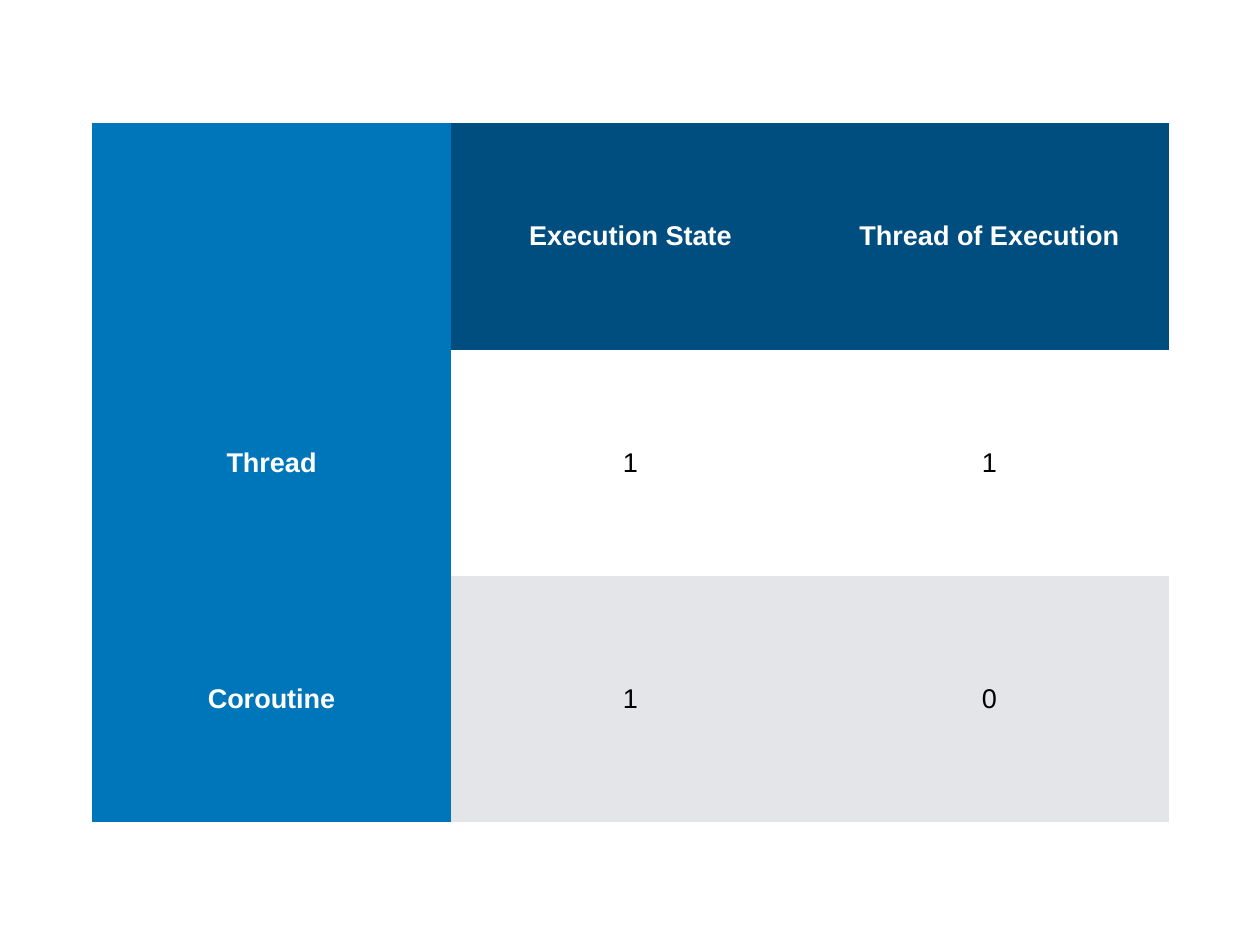
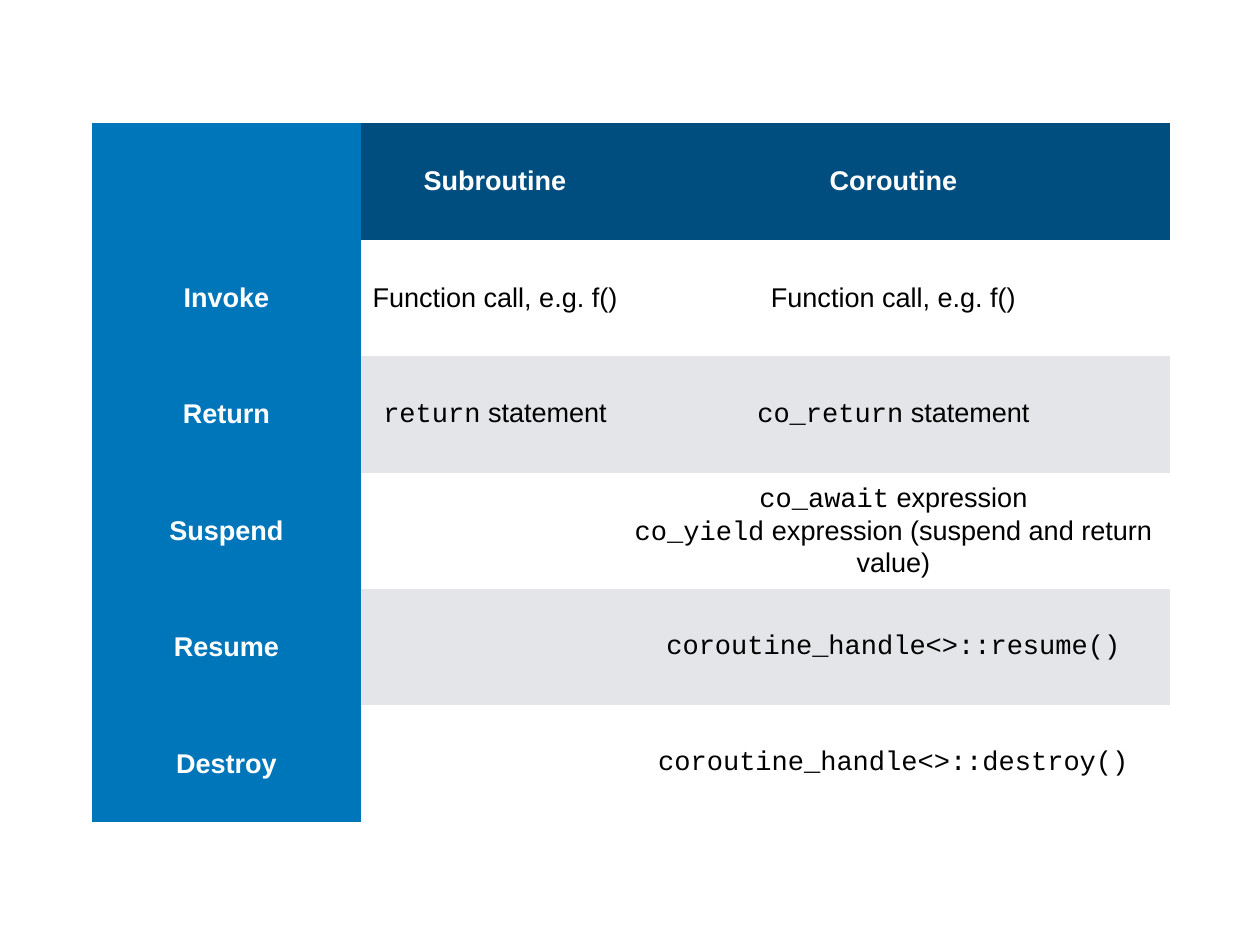
from pptx import Presentation
from pptx.dml.color import RGBColor
from pptx.enum.text import MSO_ANCHOR, PP_ALIGN
from pptx.oxml.ns import qn
from pptx.util import Cm, Pt

CENTER = PP_ALIGN.CENTER
MIDDLE = MSO_ANCHOR.MIDDLE

COLORS = {
    "header": "004D80",
    "label": "0076BA",
    "plain": "FFFFFF",
    "band": "E3E5E8",
    "light_text": "FFFFFF",
    "dark_text": "000000",
}
TEXT_FONT = "Arial"
CODE_FONT = "Courier New"
PLAIN_TABLE_STYLE = "{2D5ABB26-0587-4C30-8999-92F81FD0307C}"


def color(name):
    return RGBColor.from_string(COLORS[name])


def write_text(text_frame, text, size=22, text_color="dark_text", bold=False, align=CENTER):
    """Write one paragraph per line; backticks enclose code."""
    for index, line in enumerate(text.split("\n")):
        paragraph = text_frame.paragraphs[0] if index == 0 else text_frame.add_paragraph()
        paragraph.alignment = align
        for part_index, part in enumerate(line.split("`")):
            if not part:
                continue
            run = paragraph.add_run()
            run.text = part
            run.font.name = CODE_FONT if part_index % 2 else TEXT_FONT
            run.font.size = Pt(size)
            run.font.bold = bold
            run.font.color.rgb = color(text_color)


class Deck:
    """The presentation, its table style and the current slide."""

    left, top = Cm(2.64), Cm(3.53)
    margin = Cm(0.13)

    def __init__(self):
        self.presentation = Presentation()
        self.presentation.slide_width = Cm(36.12)
        self.presentation.slide_height = Cm(27.1)
        self.slide = None

    def add_slide(self):
        self.slide = self.presentation.slides.add_slide(self.presentation.slide_layouts[6])

    def add_table(self, rows, column_widths, row_heights):
        shape = self.slide.shapes.add_table(
            len(rows), len(column_widths), self.left, self.top,
            Cm(sum(column_widths)), Cm(sum(row_heights)))
        table = shape.table
        table.first_col = True
        # A table style without borders
        table._tbl.tblPr.find(qn("a:tableStyleId")).text = PLAIN_TABLE_STYLE
        for column, width in zip(table.columns, column_widths):
            column.width = Cm(width)
        for row, height in zip(table.rows, row_heights):
            row.height = Cm(height)
        for row_index, texts in enumerate(rows):
            for column_index, text in enumerate(texts):
                self.format_cell(table.cell(row_index, column_index), text, row_index, column_index)

    def format_cell(self, cell, text, row_index, column_index):
        is_heading = row_index == 0 or column_index == 0
        if column_index == 0:
            fill = "label"
        elif row_index == 0:
            fill = "header"
        else:
            fill = "plain" if row_index % 2 else "band"
        cell.fill.solid()
        cell.fill.fore_color.rgb = color(fill)
        cell.vertical_anchor = MIDDLE
        cell.margin_left = cell.margin_right = self.margin
        cell.margin_top = cell.margin_bottom = self.margin
        write_text(cell.text_frame, text, bold=is_heading,
                   text_color="light_text" if is_heading else "dark_text")


def main():
    deck = Deck()

    # Threads and coroutines
    deck.add_slide()
    deck.add_table(
        [
            ["", "Execution State", "Thread of Execution"],
            ["Thread", "1", "1"],
            ["Coroutine", "1", "0"],
        ],
        column_widths=[10.29] * 3,
        row_heights=[6.5, 6.5, 7.03],
    )

    # Subroutines and coroutines, with a narrow closing column
    deck.add_slide()
    deck.add_table(
        [
            ["", "Subroutine", "Coroutine", ""],
            ["Invoke", "Function call, e.g. f()", "Function call, e.g. f()", ""],
            ["Return", "`return` statement", "`co_return` statement", ""],
            ["Suspend", "", "`co_await` expression\n"
             "`co_yield` expression (suspend and return value)", ""],
            ["Resume", "", "`coroutine_handle<>::resume()`", ""],
            ["Destroy", "", "`coroutine_handle<>::destroy()`", ""],
        ],
        column_widths=[7.7, 7.7, 15.14, 0.28],
        row_heights=[3.34] * 6,
    )

    deck.presentation.save("out.pptx")


if __name__ == "__main__":
    main()
